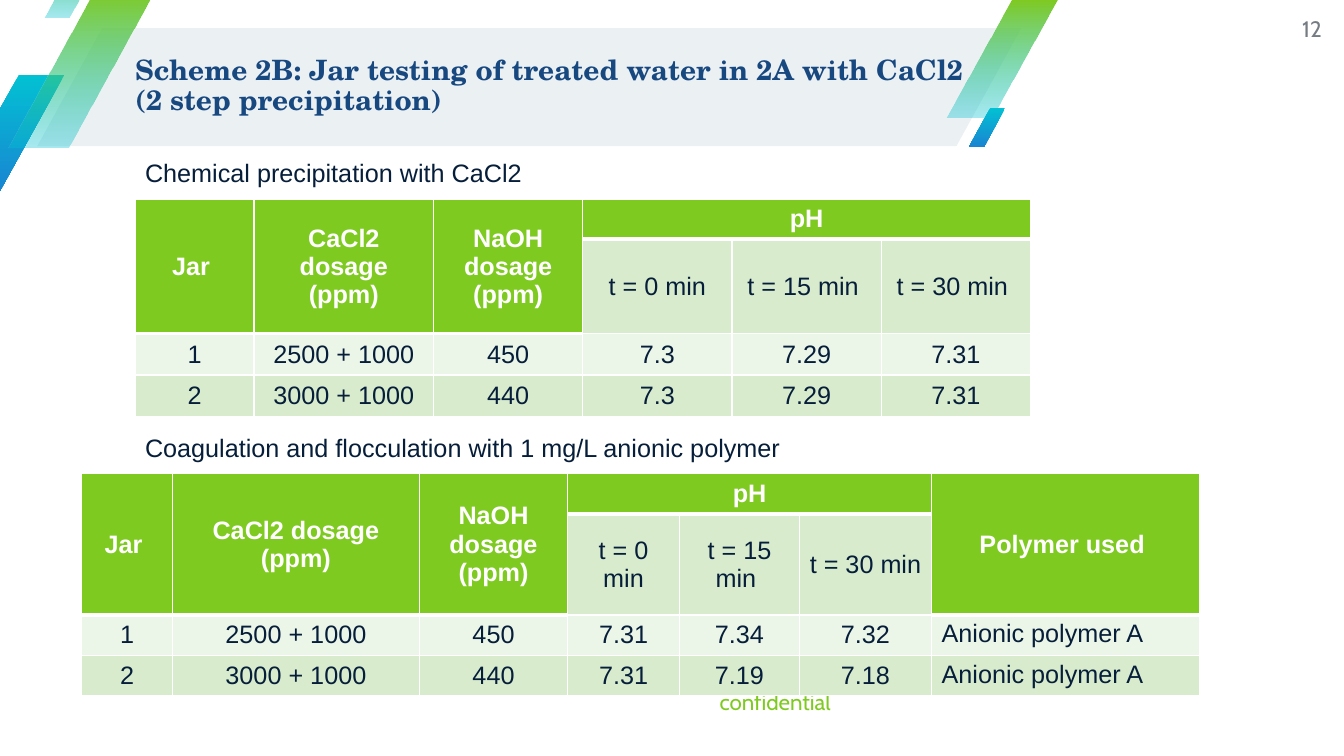
from copy import deepcopy
from dataclasses import dataclass

from lxml import etree
from pptx import Presentation
from pptx.dml.color import RGBColor
from pptx.enum.shapes import MSO_SHAPE
from pptx.enum.text import MSO_ANCHOR as Anchor, MSO_AUTO_SIZE as AutoSize, PP_ALIGN as Align
from pptx.oxml.ns import qn
from pptx.util import Inches, Pt

GREEN, CYAN, BLUE, INK, WHITE = "7FCA20", "02C1D3", "1985D2", "061E3A", "FFFFFF"
PALE, LIGHT = "ECF6E8", "D8ECCD"
PH_COLUMNS = range(3, 6)
POLYMER_COLUMN = 6


@dataclass
class Stripe:
    left: float
    top: float
    width: float
    height: float
    colors: tuple[str, ...]
    end_alpha: int = 100
    slant: float = 0.59


@dataclass
class JarTable:
    left: float
    top: float
    columns: list[float]
    rows: list[float]
    headings: list[str]
    results: list[list[str]]


STRIPES = [
    Stripe(0.37, 0.28, 9.76, 1.17, ("EBF0F3",), slant=0.55),
    Stripe(-0.46, 0.74, 1.1, 1.17, (CYAN, BLUE)),
    Stripe(9.39, 0, 1.1, 1.17, (GREEN, CYAN), 34),
    Stripe(0.08, -0.1, 1.46, 1.56, (GREEN, CYAN), 34),
    Stripe(0.44, -0.48, 0.61, 0.65, (GREEN, CYAN), 34),
    Stripe(9.61, 1.07, 0.36, 0.39, (CYAN, BLUE)),
]
HEADINGS = ["Jar ", "CaCl2 dosage (ppm)", "NaOH dosage (ppm)", "pH", "", ""]
TIMES = ["t = 0 min", "t = 15 min ", "t = 30 min "]
PRECIPITATION = JarTable(
    1.34, 1.98, [1.18, 1.78] + [1.48] * 4, [0.39] + [0.41] * 3, HEADINGS,
    [["1", "2500 + 1000", "450", "7.3", "7.29", "7.31"],
     ["2", "3000 + 1000", "440", "7.3", "7.29", "7.31"]])
FLOCCULATION = JarTable(
    0.81, 4.7, [0.9, 2.45, 1.47, 1.11, 1.19, 1.31, 2.66], [0.35, 0.53, 0.35, 0.35],
    HEADINGS + ["Polymer used "],
    [["1", "2500 + 1000", "450", "7.31", "7.34", "7.32", "Anionic polymer A"],
     ["2", "3000 + 1000", "440", "7.31", "7.19", "7.18", "Anionic polymer A"]])


def rgb(color: str) -> RGBColor:
    return RGBColor.from_string(color)


def write(frame, text: str, *, size: float = 18, font: str = "Arial", color: str = INK,
          bold: bool = False, align=Align.LEFT, spacing: float | None = None) -> None:
    """Fill a text frame with one formatted paragraph; newlines become line breaks."""
    para = frame.paragraphs[0]
    para.text = text
    para.alignment = align
    if spacing:
        para.line_spacing = spacing
    for span in para.runs:
        span.font.size = Pt(size)
        span.font.name = font
        span.font.bold = bold
        span.font.color.rgb = rgb(color)
    for line_break in frame._txBody.iter(qn("a:br")):
        line_break.append(deepcopy(para.runs[0].font._rPr))


def clear_margins(frame) -> None:
    frame.margin_left = frame.margin_right = frame.margin_top = frame.margin_bottom = 0
    frame.vertical_anchor = Anchor.MIDDLE
    frame.word_wrap = True
    frame.auto_size = AutoSize.NONE


def add_stripe(page, stripe: Stripe) -> None:
    shape = page.shapes.add_shape(
        MSO_SHAPE.PARALLELOGRAM, Inches(stripe.left), Inches(stripe.top),
        Inches(stripe.width), Inches(stripe.height))
    shape.adjustments[0] = stripe.slant
    shape.shadow.inherit = False
    shape.line.fill.background()
    if len(stripe.colors) == 1:
        shape.fill.solid()
        shape.fill.fore_color.rgb = rgb(stripe.colors[0])
        return
    shape.fill.gradient()
    shape.fill.gradient_angle = 270
    for stop, color, position in zip(shape.fill.gradient_stops, stripe.colors, (0, 1)):
        stop.color.rgb = rgb(color)
        stop.position = position
    if stripe.end_alpha < 100:
        end_color = list(shape.element.iter(qn("a:srgbClr")))[-1]
        etree.SubElement(end_color, qn("a:alpha"), val=str(stripe.end_alpha * 1000))


def add_label(page, text: str, left: float, top: float, width: float, height: float,
              **style) -> None:
    """Add a text box without margins, centred vertically."""
    box = page.shapes.add_textbox(Inches(left), Inches(top), Inches(width), Inches(height))
    clear_margins(box.text_frame)
    write(box.text_frame, text, **style)


def add_caption(page, text: str, top: float, width: float) -> None:
    box = page.shapes.add_textbox(Inches(1.34), Inches(top), Inches(width), Inches(0.4))
    box.text_frame.word_wrap = False
    box.text_frame.auto_size = AutoSize.SHAPE_TO_FIT_TEXT
    write(box.text_frame, text)


def style_cell(cell, fill: str, bottom: int) -> None:
    """Set the fill and white borders, with the bottom border in points."""
    cell.fill.solid()
    cell.fill.fore_color.rgb = rgb(fill)
    properties = cell._tc.get_or_add_tcPr()
    for index, (side, points) in enumerate(zip("LRTB", (1, 1, 1, bottom))):
        line = etree.Element(qn(f"a:ln{side}"), w=str(Pt(points)))
        solid = etree.SubElement(line, qn("a:solidFill"))
        etree.SubElement(solid, qn("a:srgbClr"), val=WHITE)
        properties.insert(index, line)


def add_jar_table(page, data: JarTable) -> None:
    count = len(data.columns)
    frame = page.shapes.add_table(
        len(data.rows), count, Inches(data.left), Inches(data.top),
        Inches(sum(data.columns)), Inches(sum(data.rows)))
    table = frame.table
    table.first_row = table.horz_banding = False
    for column, width in zip(table.columns, data.columns):
        column.width = Inches(width)
    for row, height in zip(table.rows, data.rows):
        row.height = Inches(height)

    times = [""] * 3 + TIMES + [""] * (count - 6)
    for r, texts in enumerate([data.headings, times, *data.results]):
        for c, text in enumerate(texts):
            cell = table.cell(r, c)
            heading = r == 0 or (r == 1 and c not in PH_COLUMNS)
            polymer = r > 1 and c == POLYMER_COLUMN
            fill = GREEN if heading else PALE if r == 2 else LIGHT
            style_cell(cell, fill, 3 if heading else 1)
            cell.vertical_anchor = Anchor.TOP if polymer else Anchor.MIDDLE
            if text:
                write(cell.text_frame, text, bold=heading,
                      color=WHITE if heading else INK,
                      align=Align.LEFT if polymer else Align.CENTER)
    table.cell(0, PH_COLUMNS[0]).merge(table.cell(0, PH_COLUMNS[-1]))
    for c in range(count):
        if c not in PH_COLUMNS:
            table.cell(0, c).merge(table.cell(1, c))


def add_title(page, text: str) -> None:
    title = page.shapes.title
    title.left, title.top = Inches(1.34), Inches(0.26)
    title.width, title.height = Inches(8.79), Inches(1.19)
    clear_margins(title.text_frame)
    write(title.text_frame, text, size=20, font="TeX Gyre Schola", color="184880",
          bold=True, spacing=0.9)
    title.element.getparent().append(title.element)


def main() -> None:
    deck = Presentation()
    deck.slide_width, deck.slide_height = Inches(13.33), Inches(7.5)
    page = deck.slides.add_slide(deck.slide_layouts[5])
    for stripe in STRIPES:
        add_stripe(page, stripe)
    small = dict(size=16, font="Cabin", align=Align.RIGHT)
    add_label(page, "confidential", 4.67, 6.67, 3.57, 0.57, color=GREEN, **small)
    add_label(page, "12", 12.48, 0, 0.63, 0.57, color="757C83", **small)
    add_jar_table(page, PRECIPITATION)
    add_caption(page, "Chemical precipitation with CaCl2", 1.51, 3.97)
    add_caption(page, "Coagulation and flocculation with 1 mg/L anionic polymer", 4.24, 6.63)
    add_jar_table(page, FLOCCULATION)
    add_title(page, "Scheme 2B: Jar testing of treated water in 2A with CaCl2 \n(2 step precipitation)")
    deck.save("out.pptx")


if __name__ == "__main__":
    main()
